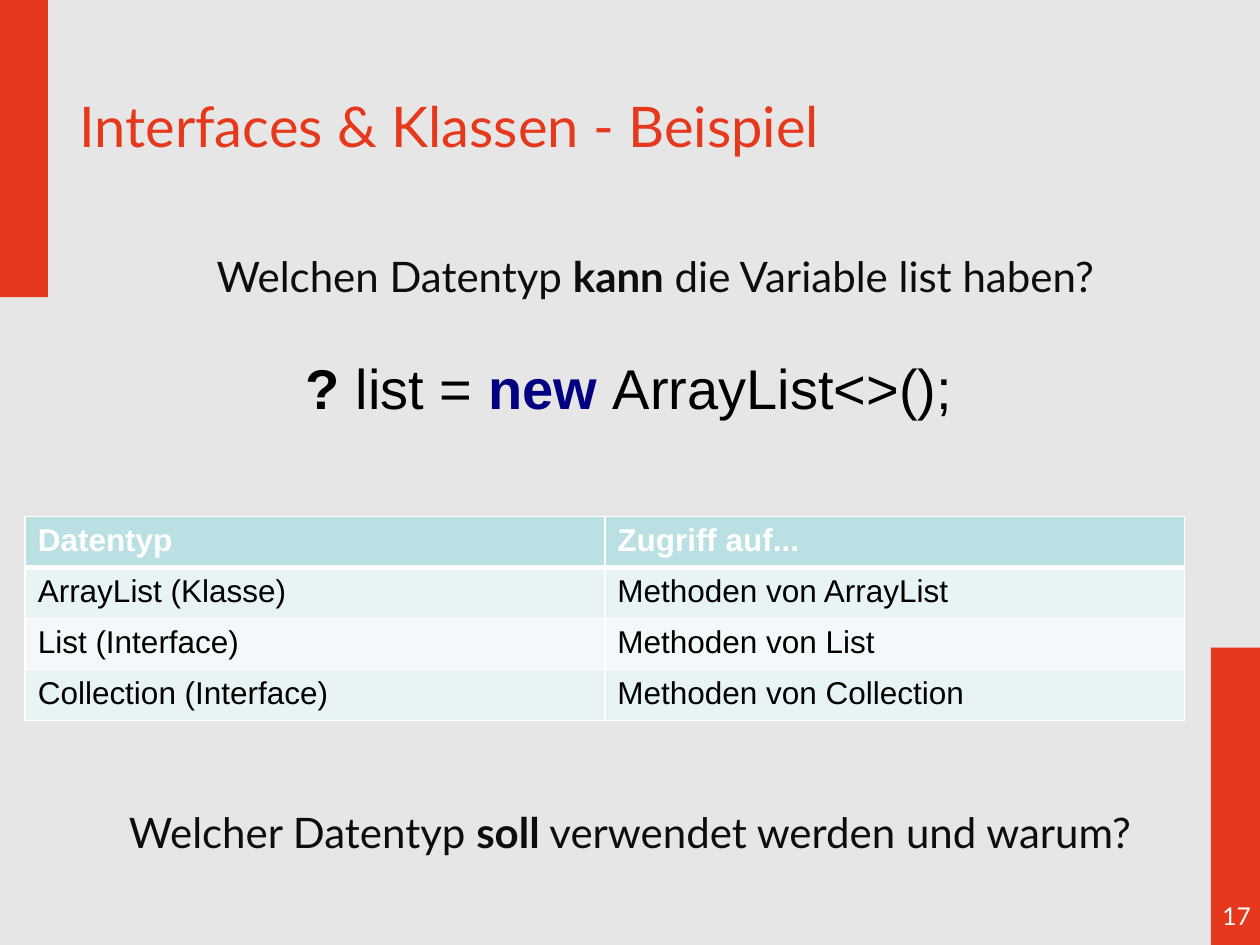
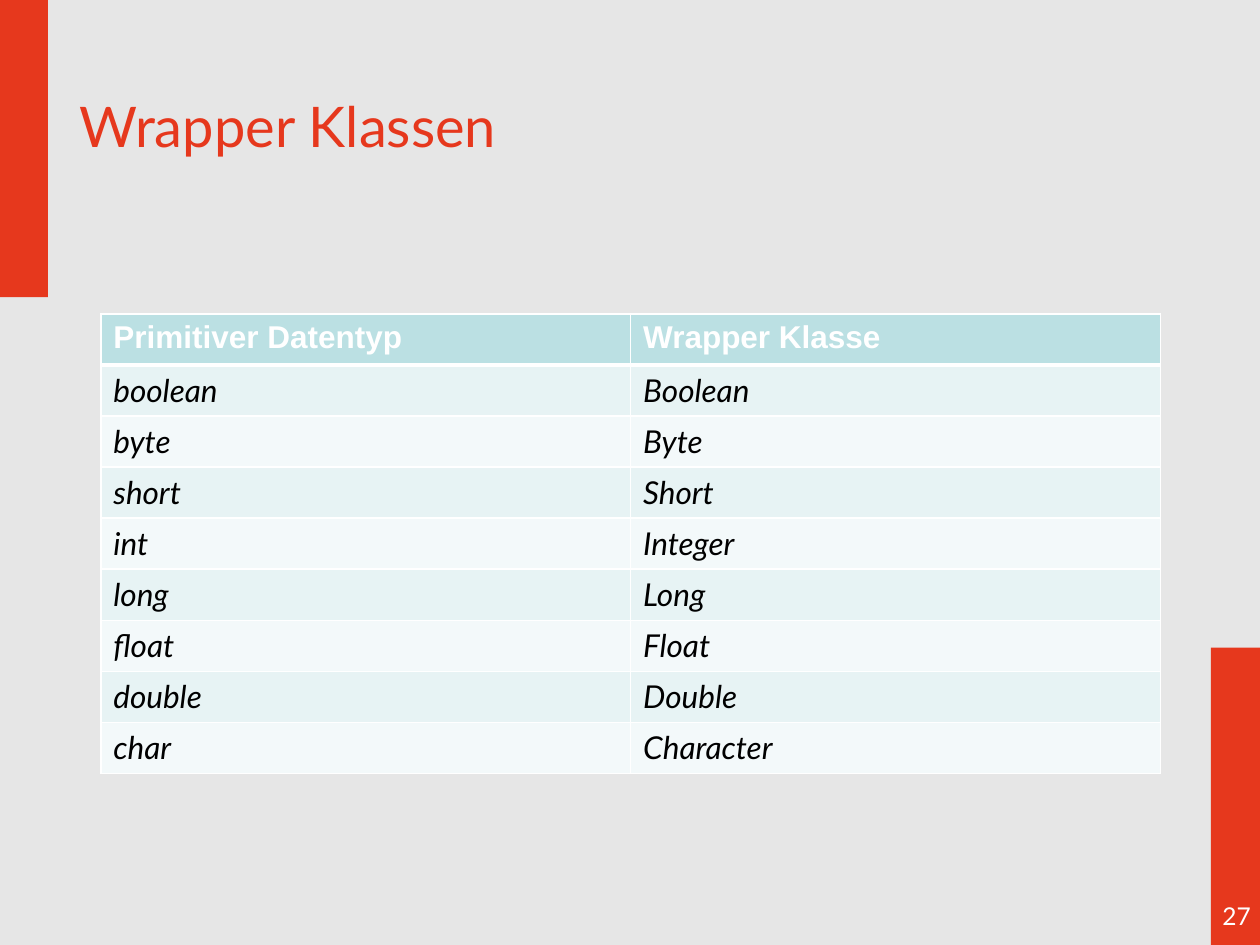
"""Two slides on Java types: interfaces with classes, and wrapper classes."""
import pptx
import pptx.util
import pptx.dml.color
import pptx.enum.shapes
import pptx.enum.text
import lxml.etree
from pptx.util import Inches, Pt

HUES = {
    "back": "E6E6E6", "red": "E6381D", "white": "FFFFFF", "black": "000000",
    "ink": "0D0D0D", "navy": "000080", "head": "BBE0E3", "odd": "E7F3F4", "even": "F3F9FA",
}
ALIGN = pptx.enum.text.PP_ALIGN


class Deck:
    """Holds the style and the current slide."""

    def __init__(self):
        """Start an empty deck of 10 by 7.5 inches."""
        self.prs = pptx.Presentation()
        self.prs.slide_width = Inches(10)
        self.prs.slide_height = Inches(7.5)

    def hue(self, name):
        """Return a named colour."""
        return pptx.dml.color.RGBColor.from_string(HUES[name])

    def paint(self, fill, name):
        """Make a fill solid in a named colour."""
        fill.solid()
        fill.fore_color.rgb = self.hue(name)

    def style(self, font, size, face, color, bold=False, italic=False):
        """Set all traits of a font."""
        font.size, font.name = Pt(size), face
        font.bold, font.italic = bold, italic
        font.color.rgb = self.hue(color)

    def page(self, title, number):
        """Add a slide with its bands, number and title."""
        self.slide = self.prs.slides.add_slide(self.prs.slide_layouts[5])
        self.paint(self.slide.background.fill, "back")
        self.band(-0.01, 0)
        self.band(9.61, 5.14)
        self.text(9.51, 7.1, 0.61, 0.28, [(str(number), "white", False)], 14)
        head = self.slide.shapes.title
        head.left, head.top = Inches(0.53), Inches(0.68)
        head.width, head.height = Inches(8.02), Inches(0.63)
        frame = head.text_frame
        frame.text = title
        frame.auto_size = pptx.enum.text.MSO_AUTO_SIZE.NONE
        frame.vertical_anchor = pptx.enum.text.MSO_ANCHOR.MIDDLE
        para = frame.paragraphs[0]
        para.alignment = ALIGN.LEFT
        self.style(para.font, 32, "Lato", "red")

    def band(self, left, top):
        """Add a red band at the edge of the slide."""
        kind = pptx.enum.shapes.MSO_SHAPE.RECTANGLE
        band = self.slide.shapes.add_shape(
            kind, Inches(left), Inches(top), Inches(0.39), Inches(2.36))
        band.shadow.inherit = False
        self.paint(band.fill, "red")
        band.line.fill.background()

    def text(self, left, top, width, height, runs, size, face="Lato",
             align=ALIGN.CENTER, wrap=True):
        """Add one line of text from (words, colour, bold) runs."""
        box = self.slide.shapes.add_textbox(
            Inches(left), Inches(top), Inches(width), Inches(height))
        box.text_frame.word_wrap = wrap
        para = box.text_frame.paragraphs[0]
        para.alignment = align
        for words, color, bold in runs:
            run = para.add_run()
            run.text = words
            self.style(run.font, size, face, color, bold)

    def ask(self, left, top, before, key, after):
        """Add a centred question with one bold word."""
        runs = [(before, "ink", False), (key, "ink", True), (after, "ink", False)]
        self.text(left, top, 9.6, 0.47, runs, 24)

    def edge(self, cell, side, width):
        """Add a white border to one side of a cell."""
        props = cell._tc.get_or_add_tcPr()
        space = "{http://schemas.openxmlformats.org/drawingml/2006/main}"
        line = lxml.etree.SubElement(props, space + "ln" + side, w=str(Pt(width)))
        solid = lxml.etree.SubElement(line, space + "solidFill")
        lxml.etree.SubElement(solid, space + "srgbClr", val=HUES["white"])

    def table(self, left, top, width, height, rows, face="Arial", italic=False):
        """Add a banded table whose first row is the header."""
        grid = self.slide.shapes.add_table(
            len(rows), len(rows[0]), Inches(left), Inches(top),
            Inches(width), Inches(height)).table
        for r, row in enumerate(rows):
            for c, words in enumerate(row):
                cell = grid.cell(r, c)
                cell.text = words
                for side in "LRTB":
                    thick = (r, side) in ((0, "B"), (1, "T"))
                    self.edge(cell, side, 3 if thick else 1)
                font = cell.text_frame.paragraphs[0].font
                if r == 0:
                    self.paint(cell.fill, "head")
                    self.style(font, 18, "Arial", "white", True)
                else:
                    self.paint(cell.fill, "odd" if r % 2 else "even")
                    self.style(font, 18, face, "black", False, italic)


def main():
    """Build and save the deck."""
    deck = Deck()

    deck.page("Interfaces & Klassen - Beispiel", 17)
    types = [("ArrayList", "Klasse"), ("List", "Interface"), ("Collection", "Interface")]
    rows = [(f"{name} ({kind})", f"Methoden von {name}") for name, kind in types]
    deck.table(0.2, 4.1, 9.2, 1.62, [("Datentyp", "Zugriff auf...")] + rows)
    code = [("? ", "black", True), ("list = ", "black", False),
            ("new ", "navy", True), ("ArrayList<>();", "black", False)]
    deck.text(2.33, 2.76, 5.35, 0.64, code, 32, "Arial", ALIGN.LEFT, False)
    deck.ask(0.4, 1.94, "Welchen Datentyp ", "kann", " die Variable list haben?")
    deck.ask(0.2, 6.35, "Welcher Datentyp ", "soll", " verwendet werden und warum?")

    deck.page("Wrapper Klassen", 27)
    pairs = [
        ("Primitiver Datentyp", "Wrapper Klasse"),
        ("boolean", "Boolean"), ("byte", "Byte"), ("short", "Short"),
        ("int", "Integer"), ("long", "Long"), ("float", "Float"),
        ("double", "Double"), ("char", "Character"),
    ]
    deck.table(0.8, 2.49, 8.41, 3.65, pairs, "Lato", True)

    deck.prs.save("out.pptx")


if __name__ == "__main__":
    main()
